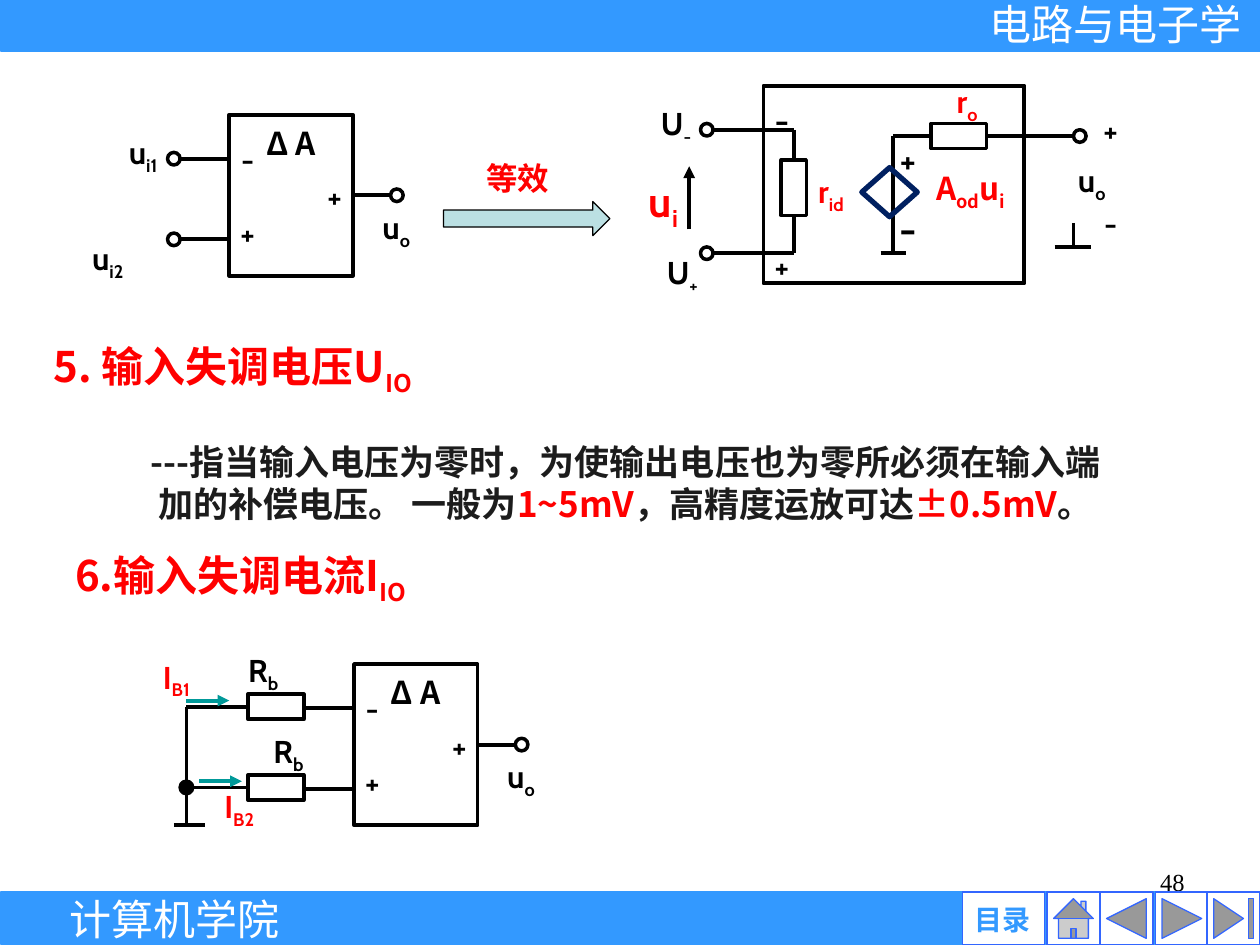
from lxml import etree
from pptx import Presentation
from pptx.dml.color import RGBColor
from pptx.enum.shapes import MSO_CONNECTOR, MSO_SHAPE
from pptx.enum.text import MSO_ANCHOR, PP_ALIGN
from pptx.oxml.ns import qn
from pptx.util import Inches, Pt

# Grid of 100 columns by 75 rows
CELL = Inches(0.1)
COLUMNS, ROWS = 100, 75

BLACK = RGBColor(0x00, 0x00, 0x00)
WHITE = RGBColor(0xFF, 0xFF, 0xFF)
RED = RGBColor(0xFF, 0x00, 0x00)
BAND_BLUE = RGBColor(0x33, 0x99, 0xFF)
BUTTON_BLUE = RGBColor(0x33, 0x66, 0xFF)
NAVY = RGBColor(0x00, 0x20, 0x60)
TEAL = RGBColor(0x00, 0x99, 0x99)
PALE_TEAL = RGBColor(0xBB, 0xE0, 0xE3)
INK = RGBColor(0x1C, 0x1C, 0x1C)

RECT, CIRCLE = MSO_SHAPE.RECTANGLE, MSO_SHAPE.OVAL
DIAMOND, BLOCK_ARROW = MSO_SHAPE.DIAMOND, MSO_SHAPE.RIGHT_ARROW
BUTTONS = [
    (76.4, 6.5, MSO_SHAPE.ACTION_BUTTON_CUSTOM),
    (83.1, 4.2, MSO_SHAPE.ACTION_BUTTON_HOME),
    (87.3, 4.2, MSO_SHAPE.ACTION_BUTTON_BACK_OR_PREVIOUS),
    (91.7, 4.2, MSO_SHAPE.ACTION_BUTTON_FORWARD_OR_NEXT),
    (95.8, 4.2, MSO_SHAPE.ACTION_BUTTON_END),
]
STRAIGHT = MSO_CONNECTOR.STRAIGHT
CENTER, RIGHT = PP_ALIGN.CENTER, PP_ALIGN.RIGHT
TOP, MIDDLE = MSO_ANCHOR.TOP, MSO_ANCHOR.MIDDLE
CABIN, HAN = "Cabin", "Noto Sans CJK SC"


def grid(*cells):
    return [round(cell * CELL) for cell in cells]


def set_format(target, values):
    for name, value in values.items():
        setattr(target, name, value)


def add_box(page, kind, area, fill=WHITE, line=BLACK, width=2.25):
    box = page.shapes.add_shape(kind, *grid(*area))
    box.shadow.inherit = False
    if fill is None:
        box.fill.background()
    else:
        box.fill.solid()
        box.fill.fore_color.rgb = fill
    box.line.color.rgb = line
    box.line.width = Pt(width)
    return box


def add_wire(page, *ends, color=BLACK, arrow=False):
    wire = page.shapes.add_connector(STRAIGHT, *grid(*ends))
    wire.line.color.rgb = color
    wire.line.width = Pt(2.25)
    if arrow:
        etree.SubElement(wire.line._get_or_add_ln(), qn("a:tailEnd"), type="triangle")
    etree.SubElement(wire._element.spPr, qn("a:effectLst"))


def add_terminal(page, x, y, fill=WHITE):
    add_box(page, CIRCLE, (x - 0.5, y - 0.5, 1, 1), fill, width=2)


def add_text(page, area, spans, size=18, font=CABIN, bold=True,
             align=CENTER, anchor=TOP, tight=False):
    """Write spans of (text, colour, is_subscript) as one paragraph."""
    box = page.shapes.add_textbox(*grid(*area))
    frame = box.text_frame
    set_format(frame, {"word_wrap": True, "vertical_anchor": anchor})
    if anchor == MIDDLE:
        set_format(frame, dict.fromkeys(
            ("margin_left", "margin_top", "margin_right", "margin_bottom"), 0))
    para = frame.paragraphs[0]
    para.alignment = align
    if tight:
        # Han text on a line pitch of 1.2 em
        para.line_spacing = Pt(1.2 * size)
        frame.margin_top = Inches(0.05) + Pt(0.1 * size)
    for text, color, is_subscript in spans:
        span = para.add_run()
        span.text = text
        set_format(span.font, {"name": font, "size": Pt(size), "bold": bold})
        span.font.color.rgb = color
        properties = span._r.get_or_add_rPr()
        etree.SubElement(properties, qn("a:ea"), typeface=HAN)
        if is_subscript:
            properties.set("baseline", "-25000")


def add_label(page, left, top, text, color=BLACK, width=5.9, height=4, **style):
    """Each second part between bars is a subscript."""
    spans = [(part, color, place % 2 == 1)
             for place, part in enumerate(text.split("|"))]
    add_text(page, (left, top, width, height), spans, **style)


def add_bands(page):
    add_label(page, 71.7, 68.3, "48", width=23.3, size=14,
              font="Times New Roman", bold=False, align=RIGHT)
    for top in (70.9, 0):
        add_box(page, RECT, (0.1, top, COLUMNS - 0.1, 3.9), BAND_BLUE, BAND_BLUE, 3)
    for left, width, kind in BUTTONS:
        add_box(page, kind, (left, ROWS - 4.2, width, 4.2), WHITE, BUTTON_BLUE, 0.75)
    add_label(page, 76.4, 71.6, "目录", BAND_BLUE, 6.3, 2.7,
              size=16, font="Arial", anchor=MIDDLE)
    for left, top, width, text, font in [
        (76.3, -0.1, 24.4, "电路与电子学", "Arial"),
        (5, 70.9, 17.7, "计算机学院", "Times New Roman"),
    ]:
        add_label(page, left, top, text, WHITE, width, size=24,
                  font=font, bold=False, anchor=MIDDLE)


def add_amplifier(page, left, top):
    add_box(page, RECT, (left, top, 9.8, 12.8))
    for row in (3.5, 9.9):
        add_wire(page, left - 3.9, top + row, left, top + row)
    add_wire(page, left + 9.8, top + 6.4, left + 13.3, top + 6.4)
    add_terminal(page, left + 13.3, top + 6.4)
    for dx, dy, text in [(-1.5, 7.4, "+"), (5.4, 4.5, "+"),
                         (-1.5, 1.5, "-"), (10.3, 6.9, "u|o")]:
        add_label(page, left + dx, top + dy, text)
    add_label(page, left, top, "Δ A", width=9.8, font=HAN, tight=True)


def add_source_amplifier(page):
    add_amplifier(page, 18.2, 9.1)
    for y in (12.6, 19):
        add_terminal(page, 13.8, y)
    add_label(page, 8.4, 10.1, "u|i1")
    add_label(page, 5.6, 18.5, "u|i2")


def add_bias_circuit(page):
    add_amplifier(page, 28.1, 52.7)
    for y in (56.1, 62.5):
        add_box(page, RECT, (19.7, y - 1, 4.4, 2))
        add_wire(page, 19.7, y, 14.8, y)
    add_wire(page, 14.8, 56.1, 14.8, 65.5)
    add_wire(page, 13.8, 65.5, 16.3, 65.5)
    add_terminal(page, 14.8, 62.5, BLACK)
    for x, y in ((14.8, 55.6), (15.8, 62)):
        add_wire(page, x, y, x + 3.4, y, color=TEAL, arrow=True)
    for left, top, text, color in [
        (17.2, 51.2, "R|b", BLACK), (19.2, 57.6, "R|b", BLACK),
        (10.3, 51.7, "I|B1", RED), (15.3, 62, "I|B2", RED),
    ]:
        add_label(page, left, top, text, color, 7.4)


def add_equivalent_circuit(page):
    add_box(page, RECT, (60.6, 6.8, 20.7, 15.7))
    # Wires and ground marks
    for ends in [
        (56.6, 10.3, 63, 10.3), (56.6, 20.1, 63, 20.1),
        (63, 10.3, 63, 12.7), (63, 20.1, 63, 17.2),
        (70.9, 10.8, 73.8, 10.8), (70.9, 10.8, 70.9, 20.1),
        (69.9, 20.1, 71.9, 20.1), (78.3, 10.8, 85.2, 10.8),
        (85.2, 17.7, 85.2, 19.6), (83.7, 19.6, 86.6, 19.6),
    ]:
        add_wire(page, *ends)
    add_wire(page, 54.7, 18.2, 54.7, 13.2, arrow=True)
    for x, y in ((56.1, 10.3), (56.1, 20.1), (85.7, 10.8)):
        add_terminal(page, x, y)
    # Resistors and controlled source
    add_box(page, RECT, (62, 12.7, 2, 4.4), width=2)
    add_box(page, RECT, (73.9, 9.8, 4.4, 2), width=2)
    add_box(page, DIAMOND, (68.4, 13.3, 4.4, 3.9), None, NAVY, 3)
    # Signs and quantities
    for left, top, text, color, size in [
        (59.1, 19.1, "+", BLACK, 18), (85.2, 8.3, "+", BLACK, 18),
        (59.1, 7.3, "-", BLACK, 20), (50.7, 7.8, "U|-", BLACK, 18),
        (51.2, 19.6, "U|+", BLACK, 18), (83.7, 12.3, "u|o", BLACK, 18),
        (63, 13.2, "r|id", RED, 18), (73.8, 6, "r|o", RED, 18),
        (85.2, 15.7, "-", BLACK, 18), (49.7, 13.4, "u|i", RED, 24),
        (69.1, 10.5, "+", BLACK, 20), (69.1, 15.6, "-", BLACK, 24),
    ]:
        add_label(page, left, top, text, color, size=size)
    add_label(page, 71.4, 13.1, "A|od|u|i", RED, 11.3, font=HAN, tight=True)


def add_headings(page):
    for left, top, width, text in [
        (-1.3, 26.7, 39.6, "5. 输入失调电压U|IO"),
        (3, 43.3, 32.2, "6.输入失调电流I|IO"),
    ]:
        add_label(page, left, top, text, RED, width, 5.1,
                  size=24, font=HAN, tight=True)
    add_text(page, (10.4, 34.2, 78.5, 7.7), [
        ("---指当输入电压为零时，为使输出电压也为零所必须在输入端加的补偿电压。 一般为", INK, False),
        ("1~5mV", RED, False),
        ("，高精度运放可达", INK, False),
        ("±0.5mV", RED, False),
        ("。", INK, False),
    ], size=20, font=HAN, tight=True)


def main():
    deck = Presentation()
    deck.slide_width, deck.slide_height = grid(COLUMNS, ROWS)
    page = deck.slides.add_slide(deck.slide_layouts[6])
    add_bands(page)
    add_source_amplifier(page)
    add_headings(page)
    add_bias_circuit(page)
    add_equivalent_circuit(page)
    # Equivalence arrow
    add_label(page, 35.2, 11.9, "等效", RED, 11.8, tight=True)
    add_box(page, BLOCK_ARROW, (35.2, 16, 13.2, 2.7), PALE_TEAL, BLACK, 0.75)
    deck.save("out.pptx")


if __name__ == "__main__":
    main()
